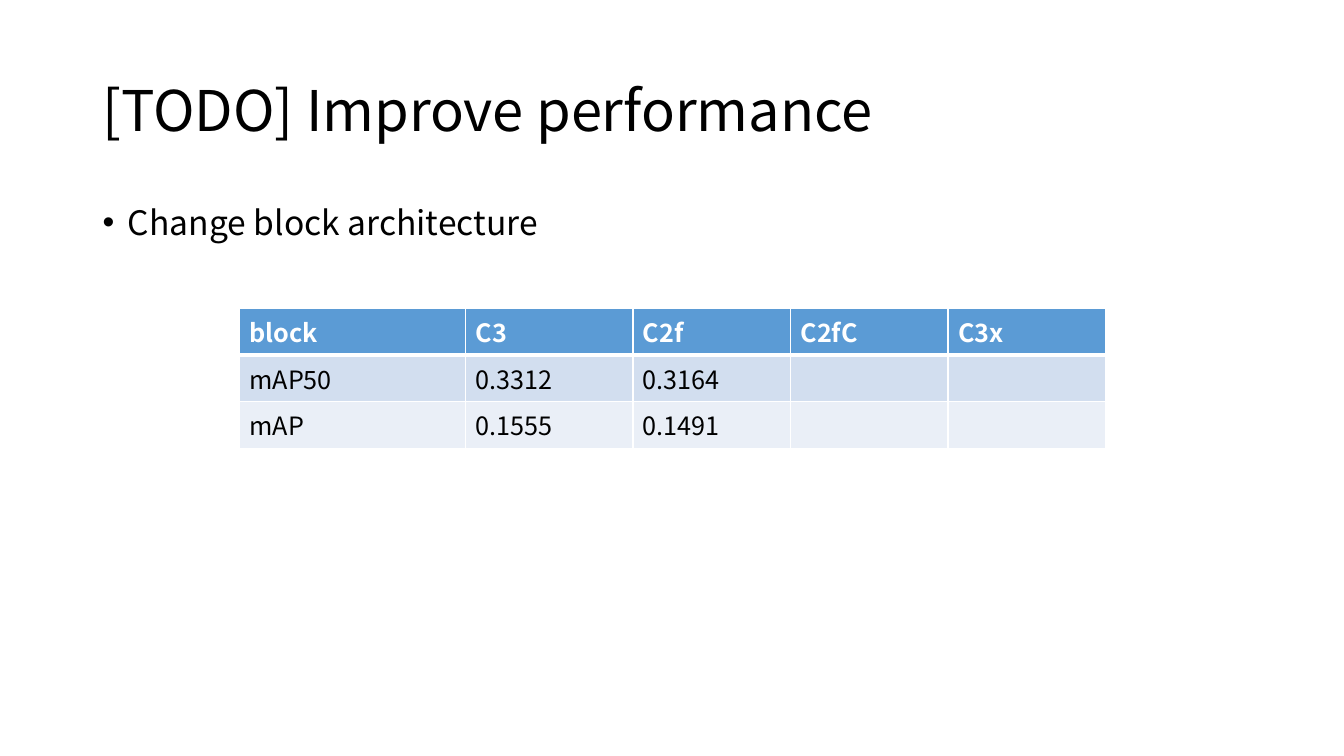
from dataclasses import dataclass

from lxml import etree
from pptx import Presentation
from pptx.dml.color import RGBColor
from pptx.enum import text
from pptx.oxml import ns
from pptx.util import Cm, Pt


@dataclass(frozen=True)
class Theme:
    font: str = "Noto Sans CJK KR"
    ink: str = "000000"
    white: str = "FFFFFF"
    header: str = "5B9BD5"
    bands: tuple = ("D2DEEF", "EAEFF7")
    title_size: int = 40
    body_size: int = 24
    table_size: int = 18
    thin_border: int = 1
    header_border: int = 3


THEME = Theme()
RESULTS = [
    ["block", "C3", "C2f", "C2fC", "C3x"],
    ["mAP50", "0.3312", "0.3164", "", ""],
    ["mAP", "0.1555", "0.1491", "", ""],
]
COLUMN_WIDTHS = [5.7, 4.22, 3.97, 3.97, 3.97]
ROW_HEIGHT = 1.03


def write_text(paragraph, content, size, color=THEME.ink, bold=False, spacing=None):
    paragraph.text = content
    paragraph.alignment = text.PP_ALIGN.LEFT
    paragraph.space_before = Pt(0)
    paragraph.line_spacing = spacing
    font = paragraph.font
    font.name = THEME.font
    font.size = Pt(size)
    font.bold = bold
    font.color.rgb = RGBColor.from_string(color)


def place(shape, left, top, width, height):
    shape.left, shape.top = Cm(left), Cm(top)
    shape.width, shape.height = Cm(width), Cm(height)


def add_bullet(paragraph, indent):
    properties = paragraph._p.get_or_add_pPr()
    properties.set("marL", str(Cm(indent)))
    properties.set("indent", str(-Cm(indent)))
    font = etree.SubElement(properties, ns.qn("a:buFont"))
    font.set("typeface", "Arial")
    bullet = etree.SubElement(properties, ns.qn("a:buChar"))
    bullet.set("char", "•")


def fill_title(shape, content):
    place(shape, 2.33, 1.01, 29.21, 3.68)
    frame = shape.text_frame
    frame.auto_size = text.MSO_AUTO_SIZE.NONE
    frame.vertical_anchor = text.MSO_ANCHOR.MIDDLE
    write_text(frame.paragraphs[0], content, THEME.title_size, spacing=0.9)


def fill_list(shape, items):
    place(shape, 2.33, 5.07, 29.21, 12.09)
    frame = shape.text_frame
    frame.auto_size = text.MSO_AUTO_SIZE.NONE
    for index, item in enumerate(items):
        paragraph = frame.add_paragraph() if index else frame.paragraphs[0]
        add_bullet(paragraph, 0.64)
        write_text(paragraph, item, THEME.body_size, spacing=0.9)
        if index:
            paragraph.space_before = Pt(10)


def set_borders(cell, top, bottom):
    properties = cell._tc.get_or_add_tcPr()
    widths = {"L": THEME.thin_border, "R": THEME.thin_border, "T": top, "B": bottom}
    for index, (side, width) in enumerate(widths.items()):
        line = etree.Element(ns.qn(f"a:ln{side}"), w=str(Pt(width)))
        fill = etree.SubElement(line, ns.qn("a:solidFill"))
        etree.SubElement(fill, ns.qn("a:srgbClr"), val=THEME.white)
        properties.insert(index, line)


def format_cell(cell, content, row):
    is_header = row == 0
    fill = THEME.header if is_header else THEME.bands[(row - 1) % len(THEME.bands)]
    cell.fill.solid()
    cell.fill.fore_color.rgb = RGBColor.from_string(fill)
    set_borders(
        cell,
        top=THEME.header_border if row == 1 else THEME.thin_border,
        bottom=THEME.header_border if is_header else THEME.thin_border,
    )
    write_text(
        cell.text_frame.paragraphs[0],
        content,
        THEME.table_size,
        color=THEME.white if is_header else THEME.ink,
        bold=is_header,
    )


def add_results_table(slide, values):
    table = slide.shapes.add_table(
        len(values), len(COLUMN_WIDTHS), Cm(6.03), Cm(7.77),
        Cm(sum(COLUMN_WIDTHS)), Cm(ROW_HEIGHT * len(values)),
    ).table
    for column, width in zip(table.columns, COLUMN_WIDTHS):
        column.width = Cm(width)
    for row, contents in enumerate(values):
        table.rows[row].height = Cm(ROW_HEIGHT)
        for column, content in enumerate(contents):
            format_cell(table.cell(row, column), content, row)


def main():
    presentation = Presentation()
    presentation.slide_width, presentation.slide_height = Cm(33.87), Cm(19.05)
    slide = presentation.slides.add_slide(presentation.slide_layouts[1])
    fill_title(slide.shapes.title, "[TODO] Improve performance")
    fill_list(slide.placeholders[1], ["Change block architecture"])
    add_results_table(slide, RESULTS)
    presentation.save("out.pptx")


if __name__ == "__main__":
    main()
